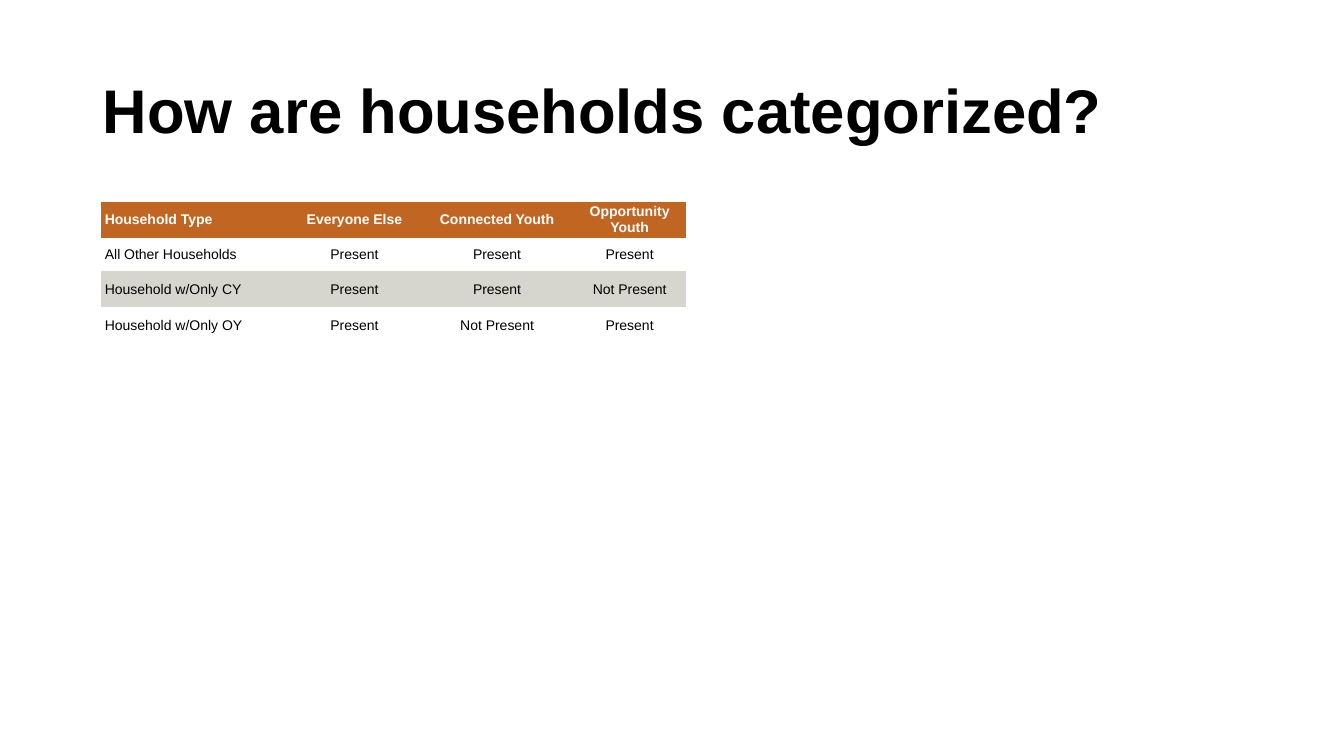
from pptx import Presentation
from pptx.dml.color import RGBColor
from pptx.enum.text import MSO_ANCHOR, MSO_AUTO_SIZE, PP_ALIGN
from pptx.oxml.ns import qn
from pptx.util import Inches, Pt

FONT = "Arial"
PLAIN_STYLE = "{2D5ABB26-0587-4C30-8999-92F81FD0307C}"
HOUSEHOLDS = [
    ("Household Type", "Everyone Else", "Connected Youth", "Opportunity Youth"),
    ("All Other Households", "Present", "Present", "Present"),
    ("Household w/Only CY", "Present", "Present", "Not Present"),
    ("Household w/Only OY", "Present", "Not Present", "Present"),
]
COLUMN_WIDTHS = [1.86, 1.31, 1.52, 1.11]
ROW_HEIGHTS = [0.36, 0.33, 0.36, 0.36]
ROW_FILLS = ["C16622", None, "D6D6CE", None]


def rgb(code):
    """Turn a hex string into a colour."""
    return RGBColor.from_string(code)


def style_font(paragraph, size, color, bold):
    """Set the font of a whole paragraph."""
    font = paragraph.font
    font.name, font.size, font.bold = FONT, Pt(size), bold
    font.color.rgb = rgb(color)


def add_title(slide, wording):
    """Place and format the slide title."""
    title = slide.shapes.title
    title.left, title.top = Inches(0.92), Inches(0.4)
    title.width, title.height = Inches(11.5), Inches(1.45)
    frame = title.text_frame
    frame.text = wording
    frame.auto_size = MSO_AUTO_SIZE.NONE
    frame.vertical_anchor = MSO_ANCHOR.MIDDLE
    heading = frame.paragraphs[0]
    heading.alignment, heading.line_spacing = PP_ALIGN.LEFT, 0.9
    style_font(heading, 44, "000000", True)


def fill_cell(cell, wording, fill, is_header, is_label):
    """Write and format one table cell."""
    cell.text = wording
    cell.vertical_anchor = MSO_ANCHOR.MIDDLE
    cell.margin_left = cell.margin_right = cell.margin_top = cell.margin_bottom = 0
    if fill:
        cell.fill.solid()
        cell.fill.fore_color.rgb = rgb(fill)
    else:
        cell.fill.background()
    entry = cell.text_frame.paragraphs[0]
    entry.alignment = PP_ALIGN.LEFT if is_label else PP_ALIGN.CENTER
    entry.space_before = entry.space_after = Pt(3)
    indents = entry._p.get_or_add_pPr()
    for side in ("marL", "marR"):
        indents.set(side, str(Inches(0.04)))
    style_font(entry, 10, "FFFFFF" if is_header else "000000", is_header)


def add_household_table(slide):
    """Add the table of household types."""
    table = slide.shapes.add_table(
        len(HOUSEHOLDS), len(COLUMN_WIDTHS), Inches(1), Inches(2),
        Inches(sum(COLUMN_WIDTHS)), Inches(sum(ROW_HEIGHTS))).table
    table._tbl.tblPr.find(qn("a:tableStyleId")).text = PLAIN_STYLE
    table.horz_banding = False
    for column, width in zip(table.columns, COLUMN_WIDTHS):
        column.width = Inches(width)
    for r, (household, height, fill) in enumerate(zip(HOUSEHOLDS, ROW_HEIGHTS, ROW_FILLS)):
        table.rows[r].height = Inches(height)
        for c, wording in enumerate(household):
            fill_cell(table.cell(r, c), wording, fill, r == 0, c == 0)


def main():
    """Build and save the slide."""
    deck = Presentation()
    deck.slide_width, deck.slide_height = Inches(13.33), Inches(7.5)
    slide = deck.slides.add_slide(deck.slide_layouts[5])
    add_title(slide, "How are households categorized?")
    add_household_table(slide)
    deck.save("out.pptx")


if __name__ == "__main__":
    main()
